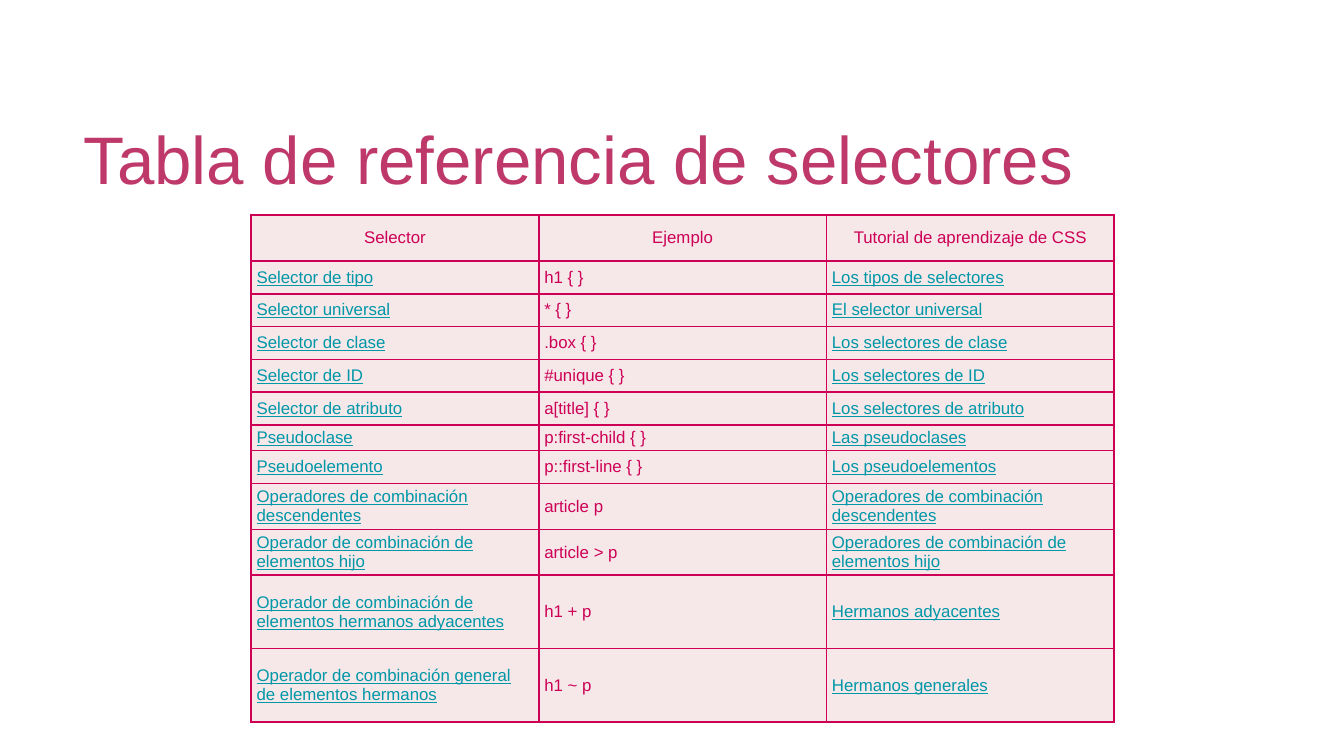
from pptx import Presentation
from pptx.dml.color import RGBColor
from pptx.enum.text import MSO_ANCHOR, MSO_AUTO_SIZE, PP_ALIGN
from pptx.oxml import parse_xml
from pptx.oxml.ns import nsdecls
from pptx.util import Pt

PINK, LINK, ROSE, TITLE = "CD0055", "0097A7", "F6E7E9", "BE3969"
HEADERS = ("Selector", "Ejemplo", "Tutorial de aprendizaje de CSS")
ROWS = [
    (17.6, "Selector de tipo", "h1 { }", "Los tipos de selectores"),
    (17.6, "Selector universal", "* { }", "El selector universal"),
    (17.6, "Selector de clase", ".box { }", "Los selectores de clase"),
    (17.6, "Selector de ID", "#unique { }", "Los selectores de ID"),
    (17.6, "Selector de atributo", "a[title] { }", "Los selectores de atributo"),
    (13.8, "Pseudoclase", "p:first-child { }", "Las pseudoclases"),
    (17.6, "Pseudoelemento", "p::first-line { }", "Los pseudoelementos"),
    (24.6, "Operadores de combinación descendentes", "article p",
     "Operadores de combinación descendentes"),
    (24.6, "Operador de combinación de elementos hijo", "article > p",
     "Operadores de combinación de elementos hijo"),
    (39.4, "Operador de combinación de elementos hermanos adyacentes", "h1 + p",
     "Hermanos adyacentes"),
    (39.4, "Operador de combinación general de elementos hermanos", "h1 ~ p",
     "Hermanos generales"),
]


def rgb(value):
    """Return the colour for a hex string."""
    return RGBColor.from_string(value)


def style_run(r, size, color, underline=False):
    """Set the font of a run."""
    r.font.name = "Arial"
    r.font.size = Pt(size)
    r.font.color.rgb = rgb(color)
    r.font.underline = underline


def add_title(s, text, left, top, width, height):
    """Place and format the title placeholder."""
    sp = s.shapes.title
    sp.left, sp.top, sp.width, sp.height = Pt(left), Pt(top), Pt(width), Pt(height)
    tf = sp.text_frame
    tf.text = text
    tf.word_wrap = True
    tf.auto_size = MSO_AUTO_SIZE.NONE
    tf.vertical_anchor = MSO_ANCHOR.TOP
    tf.margin_left = tf.margin_right = tf.margin_top = tf.margin_bottom = Pt(7.2)
    p = tf.paragraphs[0]
    p.alignment = PP_ALIGN.LEFT
    style_run(p.runs[0], 36, TITLE)


def add_borders(cell, color, width):
    """Draw all four borders of a cell."""
    tc_pr = cell._tc.get_or_add_tcPr()
    for i, side in enumerate(("lnL", "lnR", "lnT", "lnB")):
        tc_pr.insert(i, parse_xml(
            f'<a:{side} {nsdecls("a")} w="{Pt(width)}"><a:solidFill>'
            f'<a:srgbClr val="{color}"/></a:solidFill></a:{side}>'))


def fill_cell(cell, text, color, align, underline):
    """Write and format one table cell."""
    cell.text_frame.text = text
    cell.vertical_anchor = MSO_ANCHOR.MIDDLE
    cell.margin_left = cell.margin_right = Pt(3)
    cell.margin_top = cell.margin_bottom = Pt(1.5)
    cell.fill.solid()
    cell.fill.fore_color.rgb = rgb(ROSE)
    add_borders(cell, PINK, 1)
    p = cell.text_frame.paragraphs[0]
    p.alignment = align
    style_run(p.runs[0], 9, color, underline)


def add_selector_table(s, left, top, width):
    """Place the selector table, with equal columns."""
    rows = [(24.6, *HEADERS), *ROWS]
    height = sum(row[0] for row in rows)
    table = s.shapes.add_table(len(rows), len(HEADERS), Pt(left), Pt(top),
                               Pt(width), Pt(height)).table
    table.first_row = table.horz_banding = False
    for column in table.columns:
        column.width = Pt(width / len(HEADERS))
    for i, (row_height, *texts) in enumerate(rows):
        table.rows[i].height = Pt(row_height)
        for j, text in enumerate(texts):
            is_link = i > 0 and j != 1
            fill_cell(table.cell(i, j), text, LINK if is_link else PINK,
                      PP_ALIGN.LEFT if i else PP_ALIGN.CENTER, is_link)


def main():
    """Build and save the slide."""
    prs = Presentation()
    prs.slide_width, prs.slide_height = Pt(720), Pt(405)
    s = prs.slides.add_slide(prs.slide_layouts[5])
    add_title(s, "Tabla de referencia de selectores", 37.5, 55.5, 636, 60.5)
    add_selector_table(s, 134.5, 115.2, 462.3)
    prs.save("out.pptx")


if __name__ == "__main__":
    main()
